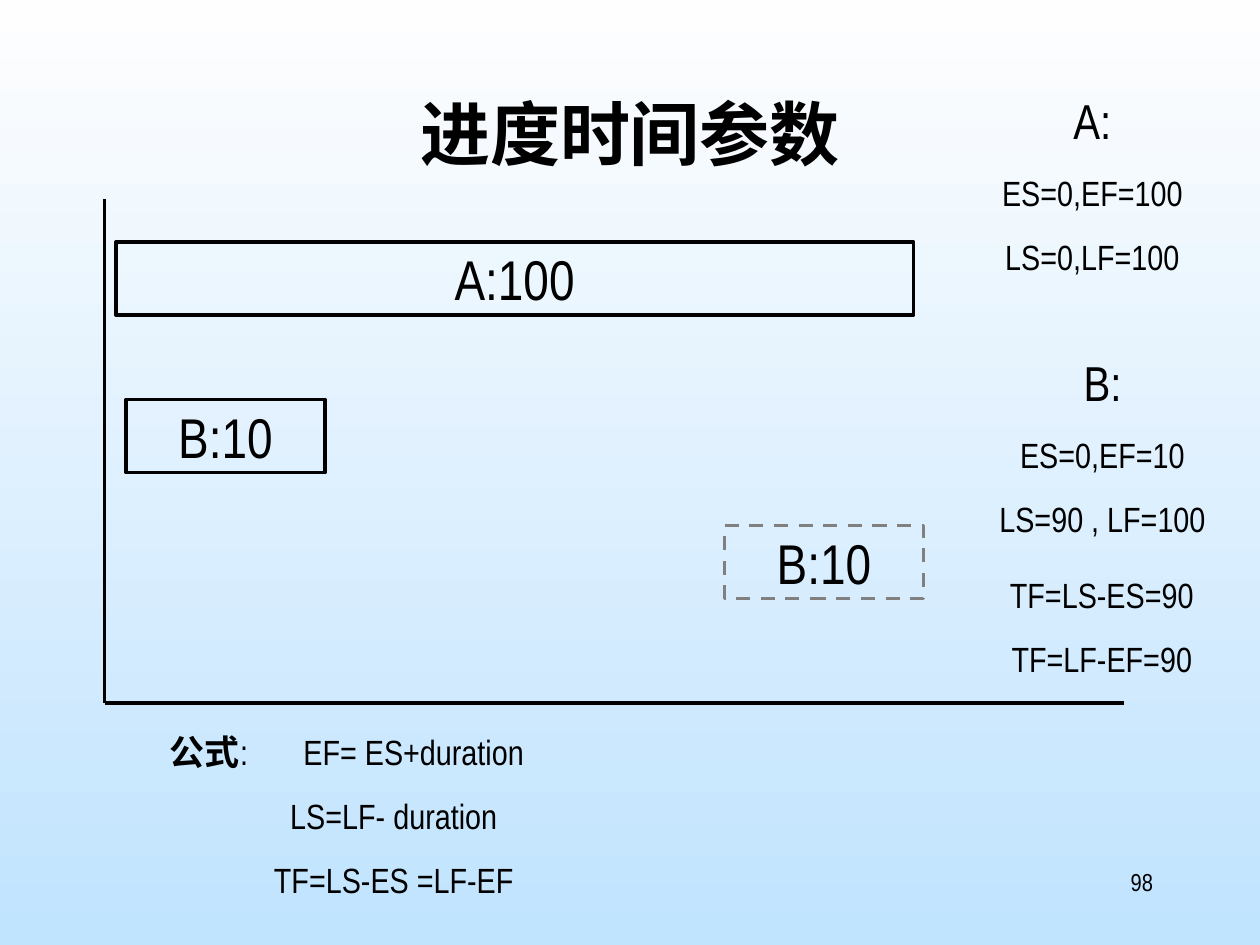
from lxml.etree import SubElement
from pptx import Presentation
from pptx.dml.color import RGBColor
from pptx.enum.dml import MSO_LINE
from pptx.enum.shapes import MSO_CONNECTOR, MSO_SHAPE
from pptx.enum.text import MSO_ANCHOR, PP_ALIGN
from pptx.oxml.ns import qn
from pptx.util import Inches, Pt

BLACK = RGBColor(0x00, 0x00, 0x00)
GRAY = RGBColor(0x80, 0x80, 0x80)
SKY_TOP = RGBColor(0xFE, 0xFE, 0xFE)
SKY_BOTTOM = RGBColor(0xC0, 0xE3, 0xFE)
LATIN_FONT = "Arial Narrow"
CHINESE_FONT = "Noto Sans CJK SC"


def paint_background(page):
    fill = page.background.fill
    fill.gradient()
    fill.gradient_angle = 270
    for stop, position, color in zip(fill.gradient_stops, (0, 1), (SKY_TOP, SKY_BOTTOM)):
        stop.position = position
        stop.color.rgb = color


def add_span(para, text, size=20, font=LATIN_FONT, bold=False):
    span = para.add_run()
    span.text = text
    span.font.size = Pt(size)
    span.font.name = font
    span.font.bold = bold
    span.font.color.rgb = BLACK
    SubElement(span._r.get_or_add_rPr(), qn("a:ea"), typeface=CHINESE_FONT)


def add_para(frame, text="", align=PP_ALIGN.CENTER, before=12.5, **span_format):
    """Fill the empty first paragraph, or append one with space before it."""
    para = frame.paragraphs[0]
    if para.runs:
        para = frame.add_paragraph()
        para.space_before = Pt(before)
    para.alignment = align
    if text:
        add_span(para, text, **span_format)
    return para


def add_text_box(page, left, top, width, height):
    box = page.shapes.add_textbox(Inches(left), Inches(top), Inches(width), Inches(height))
    box.text_frame.word_wrap = True
    return box.text_frame


def add_axis(page, start, end):
    axis = page.shapes.add_connector(
        MSO_CONNECTOR.STRAIGHT, *(Inches(value) for value in (*start, *end)))
    axis.line.color.rgb = BLACK
    axis.line.width = Pt(2)
    SubElement(axis._element.spPr, qn("a:effectLst"))


def add_bar(page, label, left, top, width, color=BLACK, dash=None):
    bar = page.shapes.add_shape(
        MSO_SHAPE.RECTANGLE, Inches(left), Inches(top), Inches(width), Inches(0.58))
    bar.shadow.inherit = False
    bar.fill.background()
    bar.line.color.rgb = color
    bar.line.width = Pt(2)
    if dash:
        bar.line.dash_style = dash
    bar.text_frame.word_wrap = False
    bar.text_frame.vertical_anchor = MSO_ANCHOR.MIDDLE
    add_para(bar.text_frame, label, size=32)


def add_task_times(page, left, top, width, height, lines, heading=None):
    frame = add_text_box(page, left, top, width, height)
    if heading:
        add_para(frame, heading, size=28)
    for line in lines:
        add_para(frame, line)


def add_formulas(page):
    frame = add_text_box(page, 1.25, 5.75, 3.75, 1.45)
    first = add_para(frame, align=PP_ALIGN.LEFT)
    tabs = SubElement(first._p.get_or_add_pPr(), qn("a:tabLst"))
    SubElement(tabs, qn("a:tab"), pos=str(Inches(1.06)), algn="l")
    add_span(first, "公式", bold=True)
    add_span(first, ":\tEF= ES+duration")
    for line in ("LS=LF- duration", "TF=LS-ES =LF-EF"):
        add_para(frame, line)


def main():
    deck = Presentation()
    deck.slide_width, deck.slide_height = Inches(10), Inches(7.5)
    page = deck.slides.add_slide(deck.slide_layouts[6])
    paint_background(page)

    title = add_text_box(page, 0.75, 0.67, 8.5, 1.25)
    add_para(title, "进度时间参数", size=40, font=CHINESE_FONT, bold=True)

    origin = (0.83, 5.58)
    add_axis(page, (0.83, 1.58), origin)
    add_axis(page, origin, (8.92, 5.58))

    add_bar(page, "A:100", 0.92, 1.92, 6.33)
    add_bar(page, "B:10", 1, 3.17, 1.58)
    add_bar(page, "B:10", 5.75, 4.17, 1.58, color=GRAY, dash=MSO_LINE.DASH)

    add_task_times(page, 7.67, 0.67, 2, 1.58, ("ES=0,EF=100", "LS=0,LF=100"), heading="A:")
    add_task_times(page, 7.75, 2.75, 2, 1.58, ("ES=0,EF=10", "LS=90 , LF=100"), heading="B:")
    add_formulas(page)
    add_task_times(page, 7.83, 4.5, 1.83, 0.94, ("TF=LS-ES=90", "TF=LF-EF=90"))

    page_number = add_text_box(page, 7.17, 6.83, 2.08, 0.5)
    add_para(page_number, "98", align=PP_ALIGN.RIGHT, size=14)

    deck.save("out.pptx")


if __name__ == "__main__":
    main()
